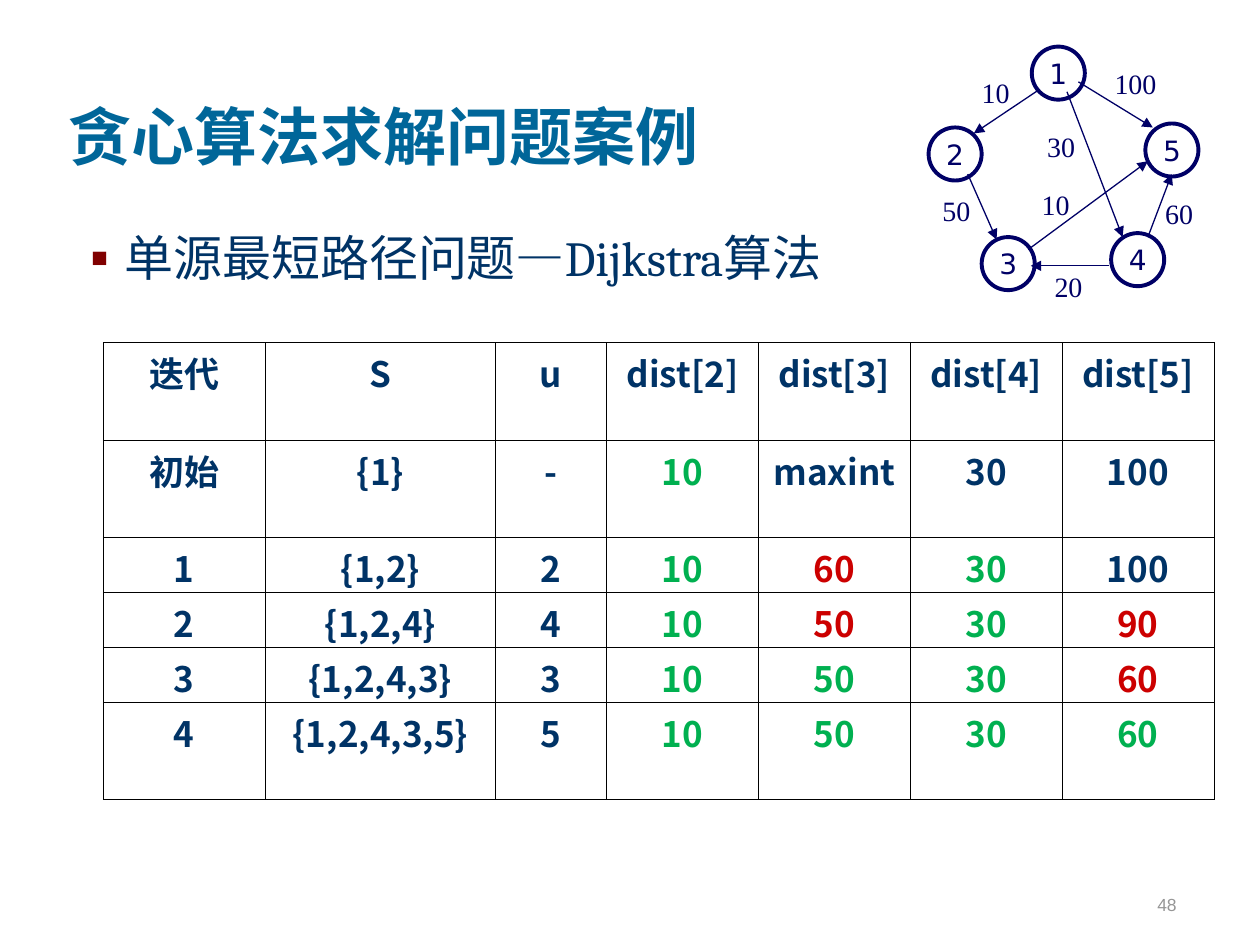
from lxml.etree import SubElement as Sub
from pptx import Presentation
from pptx.dml.color import RGBColor
from pptx.enum.shapes import MSO_CONNECTOR as Link, MSO_SHAPE as Shape
from pptx.enum.text import MSO_ANCHOR as Anchor, MSO_AUTO_SIZE as Auto, PP_ALIGN as Align
from pptx.oxml.ns import qn
from pptx.util import Cm, Pt

TEAL = RGBColor(0x00, 0x66, 0x99)
NAVY = RGBColor(0x00, 0x33, 0x66)
INK = RGBColor(0x00, 0x00, 0x66)
GREEN = RGBColor(0x00, 0xB0, 0x50)
RED = RGBColor(0xCC, 0x00, 0x00)
GRAY = RGBColor(0x96, 0x96, 0x96)
MAROON = RGBColor(0x80, 0x00, 0x00)
BLACK = RGBColor(0x00, 0x00, 0x00)
HAN = "Noto Sans CJK SC"
SERIF = "Times New Roman"

# Offsets in cm from the corner of the graph
SIZE = 1.07
NODES = {"1": (2.08, 0), "2": (0, 1.63), "3": (1.07, 3.84),
         "4": (3.68, 3.76), "5": (4.37, 1.55)}
# Start, end, cost, top centre of the cost
EDGES = [
    ((2.24, 0.86), (0.91, 1.75), "10", (1.35, 0.58)),
    ((0.79, 2.57), (1.37, 3.89), "50", (0.56, 2.97)),
    ((3.63, 4.42), (2.06, 4.42), "20", (2.82, 4.5)),
    ((4.42, 3.84), (4.9, 2.57), "60", (5.05, 3.02)),
    ((3.02, 0.71), (4.52, 1.63), "100", (4.17, 0.41)),
    ((2.01, 4.09), (4.42, 2.31), "10", (2.56, 2.84)),
    ((2.79, 0.91), (3.91, 3.84), "30", (2.67, 1.68)),
]

COLS = [3.27, 4.64, 2.24] + [3.06] * 4
TALL, LOW = 1.96, 1.11
ROWS = [TALL, TALL, LOW, LOW, LOW, TALL]
STEPS = [
    ["迭代", "S", "u", "dist[2]", "dist[3]", "dist[4]", "dist[5]"],
    ["初始", "{1}", "-", "10", "maxint", "30", "100"],
    ["1", "{1,2}", "2", "10", "60", "30", "100"],
    ["2", "{1,2,4}", "4", "10", "50", "30", "90"],
    ["3", "{1,2,4,3}", "3", "10", "50", "30", "60"],
    ["4", "{1,2,4,3,5}", "5", "10", "50", "30", "60"],
]
# One letter a cell: n navy, g green, r red
TINTS = ["nnnnnnn", "nnngnnn", "nnngrgn", "nnngrgr", "nnngggr", "nnngggg"]
HUES = {"n": NAVY, "g": GREEN, "r": RED}


def add_bullet(par):
    props = par._p.get_or_add_pPr()
    props.set("marL", str(Cm(0.95)))
    props.set("indent", str(-Cm(0.95)))
    Sub(Sub(props, qn("a:buClr")), qn("a:srgbClr"), val=str(MAROON))
    Sub(props, qn("a:buFont"), typeface=HAN)
    Sub(props, qn("a:buChar"), char="▪")


def write(frame, text, size, face, color, align=Align.LEFT, bold=False, bullet=False):
    frame.text = text
    par = frame.paragraphs[0]
    par.alignment = align
    par.space_before = Pt(0)
    if bullet:
        add_bullet(par)
    font = par.font
    font.size, font.name, font.bold = Pt(size), face, bold
    font.color.rgb = color
    base = par._p.pPr.find(qn("a:defRPr"))
    Sub(base, qn("a:ea"), typeface=HAN)


def place(item, left, top, width, height):
    item.left, item.top = Cm(left), Cm(top)
    item.width, item.height = Cm(width), Cm(height)


def trim(frame):
    """Take away the insets and the wrapping."""
    frame.margin_left = frame.margin_right = 0
    frame.margin_top = frame.margin_bottom = 0
    frame.word_wrap = False


def add_title(slide, left, top, width, height):
    title = slide.shapes.title
    place(title, left, top, width, height)
    frame = title.text_frame
    frame.auto_size, frame.vertical_anchor = Auto.NONE, Anchor.BOTTOM
    write(frame, "贪心算法求解问题案例", 36, SERIF, TEAL, bold=True)


def add_body(slide, left, top, width, height):
    body = slide.placeholders[1]
    place(body, left, top, width, height)
    frame = body.text_frame
    frame.auto_size = Auto.NONE
    write(frame, "单源最短路径问题—Dijkstra算法", 28, "Cambria", NAVY, bullet=True)


def add_node(slide, name, left, top):
    node = slide.shapes.add_shape(Shape.OVAL, Cm(left), Cm(top), Cm(SIZE), Cm(SIZE))
    node.shadow.inherit = False
    node.fill.background()
    node.line.color.rgb, node.line.width = INK, Pt(2.25)
    trim(node.text_frame)
    node.text_frame.vertical_anchor = Anchor.MIDDLE
    write(node.text_frame, name, 16, "DejaVu Sans", INK, Align.CENTER)


def add_arrow(slide, x1, y1, x2, y2):
    arrow = slide.shapes.add_connector(Link.STRAIGHT, Cm(x1), Cm(y1), Cm(x2), Cm(y2))
    arrow.line.color.rgb, arrow.line.width = INK, Pt(0.75)
    Sub(arrow.line._get_or_add_ln(), qn("a:tailEnd"), type="triangle")
    Sub(arrow._element.spPr, qn("a:effectLst"))


def add_cost(slide, cost, mid, top):
    width = 0.36 + 0.21 * len(cost)
    label = slide.shapes.add_textbox(Cm(mid - width / 2), Cm(top), Cm(width), Cm(0.69))
    trim(label.text_frame)
    write(label.text_frame, cost, 16, SERIF, INK, Align.CENTER)


def add_graph(slide, left, top):
    for name, (x, y) in NODES.items():
        add_node(slide, name, left + x, top + y)
    for (x1, y1), (x2, y2), cost, (x, y) in EDGES:
        add_arrow(slide, left + x1, top + y1, left + x2, top + y2)
        add_cost(slide, cost, left + x, top + y)


def add_border(cell):
    props = cell._tc.get_or_add_tcPr()
    for side in ("a:lnL", "a:lnR", "a:lnT", "a:lnB"):
        line = Sub(props, qn(side), w=str(Pt(0.45)))
        Sub(Sub(line, qn("a:solidFill")), qn("a:srgbClr"), val=str(BLACK))


def add_steps(slide, left, top):
    """Table of the distances after each round."""
    table = slide.shapes.add_table(len(ROWS), len(COLS), Cm(left), Cm(top),
                                   Cm(sum(COLS)), Cm(sum(ROWS))).table
    table.first_row = table.horz_banding = False
    for col, width in zip(table.columns, COLS):
        col.width = Cm(width)
    for row, height, texts, tints in zip(table.rows, ROWS, STEPS, TINTS):
        row.height = Cm(height)
        for cell, text, tint in zip(row.cells, texts, tints):
            cell.margin_top, cell.margin_bottom = Cm(0.09), 0
            add_border(cell)
            cell.fill.background()
            write(cell.text_frame, text, 20, HAN, HUES[tint], Align.CENTER, True)


def add_number(slide, left, top, width, height):
    box = slide.shapes.add_textbox(Cm(left), Cm(top), Cm(width), Cm(height))
    box.text_frame.word_wrap = True
    box.text_frame.vertical_anchor = Anchor.BOTTOM
    write(box.text_frame, "48", 10, "Arial", GRAY, Align.RIGHT)


def main():
    deck = Presentation()
    deck.slide_width, deck.slide_height = Cm(25.4), Cm(19.05)
    slide = deck.slides.add_slide(deck.slide_layouts[1])
    add_title(slide, 1.12, 0.43, 21.59, 3.18)
    add_body(slide, 1.27, 4.45, 22.7, 12.4)
    add_number(slide, 18.69, 17.3, 5.28, 1.27)
    add_graph(slide, 18.72, 0.94)
    add_steps(slide, 2.08, 6.91)
    deck.save("out.pptx")


if __name__ == "__main__":
    main()
